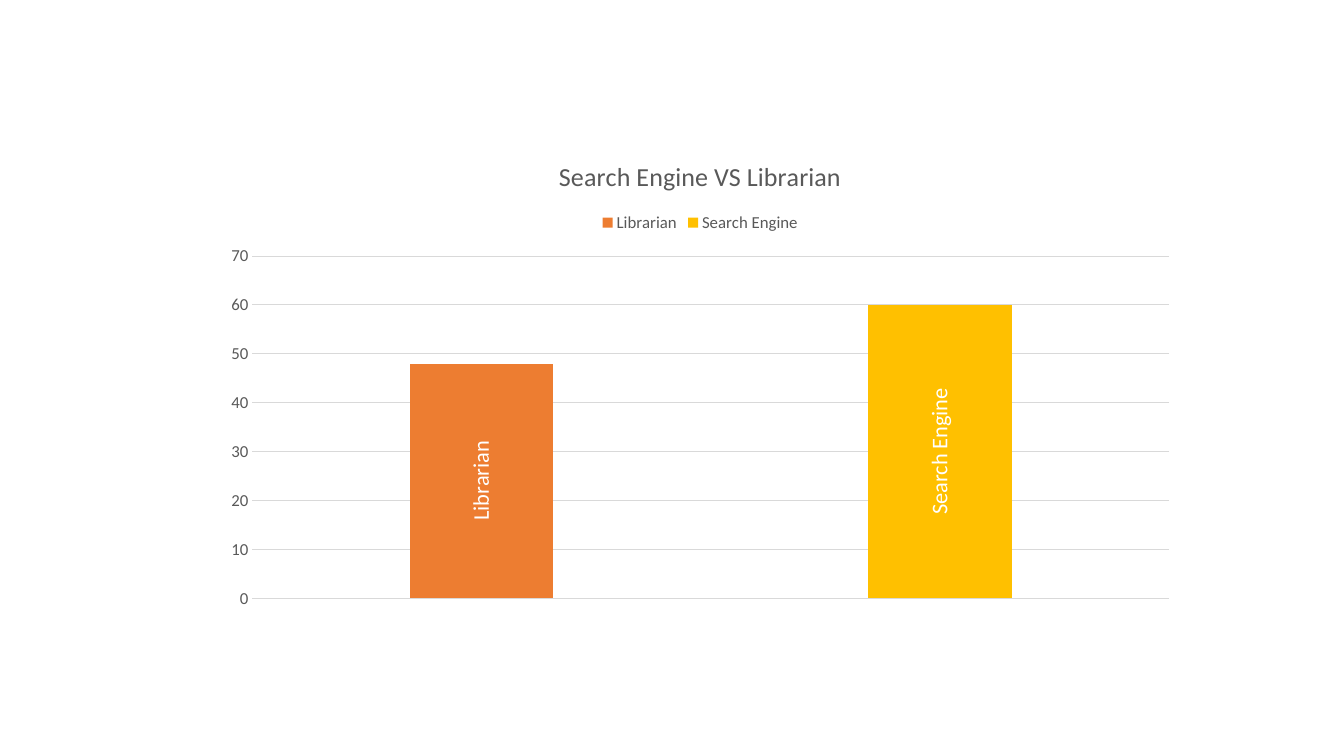
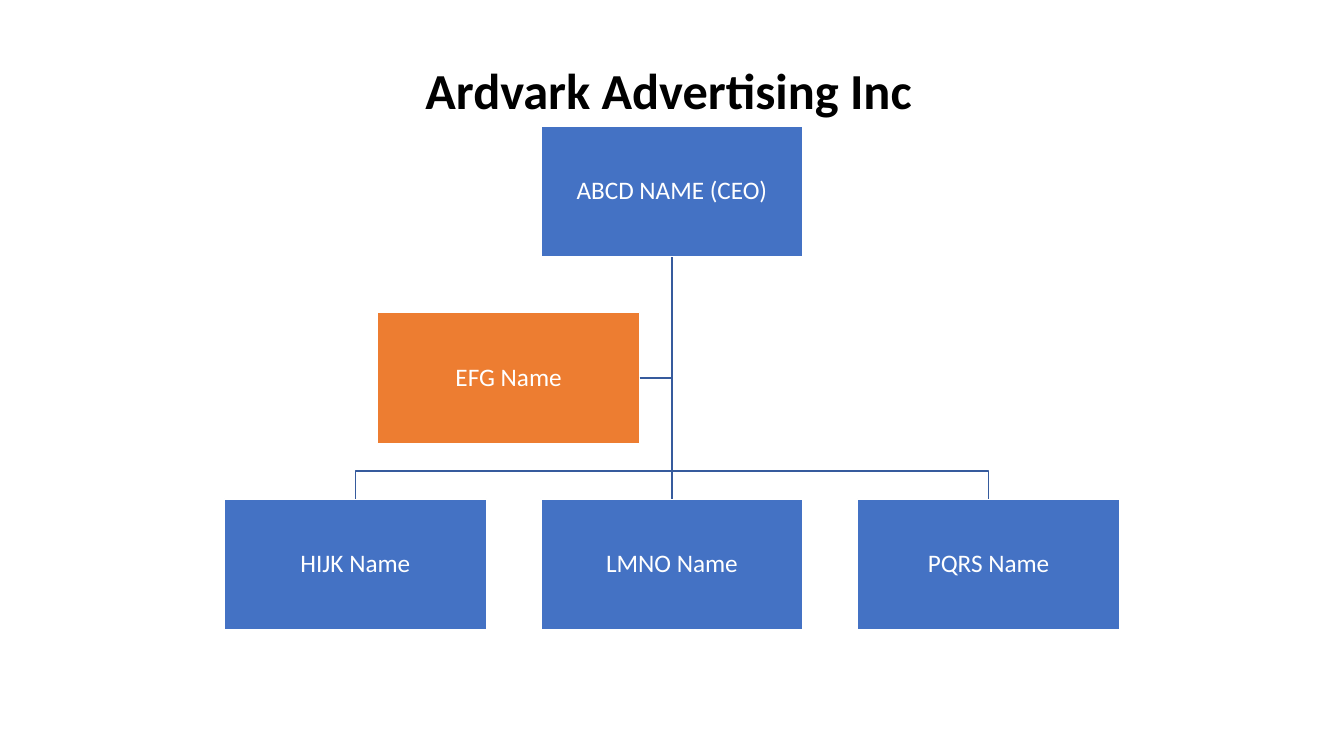
from lxml import etree
from pptx import Presentation
from pptx import util as u
from pptx.chart.data import CategoryChartData
from pptx.dml.color import RGBColor
from pptx.enum import chart as charts, shapes, text
from pptx.oxml.ns import qn

FONT = "Calibri"
COLORS = {
    "blue": "4472C4", "orange": "ED7D31", "gold": "FFC000", "line": "365B9D",
    "grid": "D9D9D9", "gray": "595959", "white": "FFFFFF", "black": "000000",
}
WIDTH, HEIGHT = u.Inches(13.33), u.Inches(7.5)

# Organization chart grid: column 0 is the trunk, row 0 the top box
CENTER = WIDTH // 2
BOX_WIDTH, BOX_HEIGHT = u.Inches(2.6), u.Inches(1.3)
COLUMN_STEP, ROW_STEP = u.Inches(3.14), u.Inches(1.85)
FIRST_ROW = u.Inches(1.25)
ASSISTANT_COLUMN = -(BOX_WIDTH / 2 + u.Inches(0.32)) / COLUMN_STEP


def color(name):
    return RGBColor.from_string(COLORS[name])


def set_font(font, size, color_name, bold=False):
    font.name, font.size, font.bold = FONT, u.Pt(size), bold
    font.color.rgb = color(color_name)


def add_run(paragraph, content, size, color_name, bold=False):
    run = paragraph.add_run()
    run.text = content
    set_font(run.font, size, color_name, bold)


def set_line(line, color_name, width):
    line.color.rgb = color(color_name)
    line.width = u.Pt(width)


def set_title(slide, content):
    title = slide.shapes.title
    title.left, title.top = u.Inches(4.12), u.Inches(0.54)
    title.width, title.height = u.Inches(5.08), u.Inches(0.71)
    frame = title.text_frame
    frame.word_wrap = False
    frame.auto_size = text.MSO_AUTO_SIZE.NONE
    frame.vertical_anchor = text.MSO_ANCHOR.TOP
    paragraph = frame.paragraphs[0]
    paragraph.alignment = text.PP_ALIGN.LEFT
    add_run(paragraph, content, 36, "black", bold=True)


def add_column_chart(slide, title, values, fills):
    """Stacked columns with one colour and one rotated label per category."""
    data = CategoryChartData(number_format="General")
    data.categories = list(values)
    data.add_series(title, list(values.values()))
    chart = slide.shapes.add_chart(
        charts.XL_CHART_TYPE.COLUMN_STACKED, u.Inches(2.1), u.Inches(1.37),
        u.Inches(9.69), u.Inches(4.76), data).chart
    set_font(chart.font, 10, "black")
    chart.has_title = True
    add_run(chart.chart_title.text_frame.paragraphs[0], title, 18.6, "gray")
    chart.has_legend = True
    chart.legend.position = charts.XL_LEGEND_POSITION.TOP
    chart.legend.include_in_layout = False
    set_font(chart.legend.font, 12, "gray")
    format_axes(chart)

    plot = chart.plots[0]
    plot.vary_by_categories = True
    plot.gap_width, plot.overlap = 219, 100
    series = plot.series[0]
    for index, fill_name in enumerate(fills):
        fill = series.points[index].format.fill
        fill.solid()
        fill.fore_color.rgb = color(fill_name)
    labels = series.data_labels
    labels.show_value, labels.show_category_name = False, True
    labels.position = charts.XL_LABEL_POSITION.CENTER
    set_font(labels.font, 16, "white")
    body = labels._element.find(".//" + qn("a:bodyPr"))
    body.set("rot", "-5400000")
    body.set("vert", "horz")


def format_axes(chart):
    chart.category_axis.visible = False
    axis = chart.value_axis
    axis.minimum_scale, axis.maximum_scale, axis.major_unit = 0, 70, 10
    axis.major_tick_mark = axis.minor_tick_mark = charts.XL_TICK_MARK.NONE
    axis.format.line.fill.background()
    set_line(axis.major_gridlines.format.line, "grid", 0.75)
    set_font(axis.tick_labels.font, 12, "gray")


def add_box(slide, content, column, row, fill_name="blue"):
    left = round(CENTER + column * COLUMN_STEP - BOX_WIDTH / 2)
    box = slide.shapes.add_shape(
        shapes.MSO_SHAPE.RECTANGLE, left, FIRST_ROW + row * ROW_STEP,
        BOX_WIDTH, BOX_HEIGHT)
    box.shadow.inherit = False
    box.fill.solid()
    box.fill.fore_color.rgb = color(fill_name)
    set_line(box.line, "white", 1)
    frame = box.text_frame
    frame.word_wrap = True
    frame.vertical_anchor = text.MSO_ANCHOR.MIDDLE
    frame.margin_left = frame.margin_right = u.Inches(0.01)
    frame.margin_top = frame.margin_bottom = u.Inches(0.01)
    paragraph = frame.paragraphs[0]
    paragraph.alignment = text.PP_ALIGN.CENTER
    paragraph.line_spacing = 0.9
    add_run(paragraph, content, 18, "white")
    return box


def add_straight_line(slide, start, start_side, end=None):
    """Join a box to the top of another, or straight across to the trunk."""
    middle = start.top + start.height // 2
    line = slide.shapes.add_connector(
        shapes.MSO_CONNECTOR.STRAIGHT, CENTER, middle, CENTER, middle)
    line.begin_connect(start, start_side)
    if end is not None:
        line.end_connect(end, 0)
    set_line(line.line, "line", 1)
    etree.SubElement(line._element.spPr, qn("a:effectLst"))


def add_branch(slide, parent, child):
    """Bent line from the parent's bottom to the child's top."""
    child_center = child.left + child.width // 2
    bottom = parent.top + parent.height
    bend = child.top - (ROW_STEP - BOX_HEIGHT) // 2
    builder = slide.shapes.build_freeform(CENTER, bottom)
    builder.add_line_segments(
        [(CENTER, bend), (child_center, bend), (child_center, child.top)],
        close=False)
    branch = builder.convert_to_shape()
    branch.shadow.inherit = False
    branch.fill.background()
    set_line(branch.line, "line", 1)


def add_organization(slide):
    chief = add_box(slide, "ABCD NAME (CEO)", 0, 0)
    assistant = add_box(slide, "EFG Name", ASSISTANT_COLUMN, 1, "orange")
    left, middle, right = [
        add_box(slide, name, column, 2)
        for column, name in enumerate(("HIJK Name", "LMNO Name", "PQRS Name"), -1)]
    add_straight_line(slide, chief, 2, middle)
    add_straight_line(slide, assistant, 3)
    for child in (left, right):
        add_branch(slide, chief, child)


def main():
    presentation = Presentation()
    presentation.slide_width, presentation.slide_height = WIDTH, HEIGHT
    title_only, blank = presentation.slide_layouts[5], presentation.slide_layouts[6]

    chart_slide = presentation.slides.add_slide(blank)
    add_column_chart(chart_slide, "Search Engine VS Librarian",
                     {"Librarian": 48, "Search Engine": 60}, ("orange", "gold"))

    organization_slide = presentation.slides.add_slide(title_only)
    set_title(organization_slide, "Ardvark Advertising Inc")
    add_organization(organization_slide)
    presentation.save("out.pptx")


if __name__ == "__main__":
    main()
